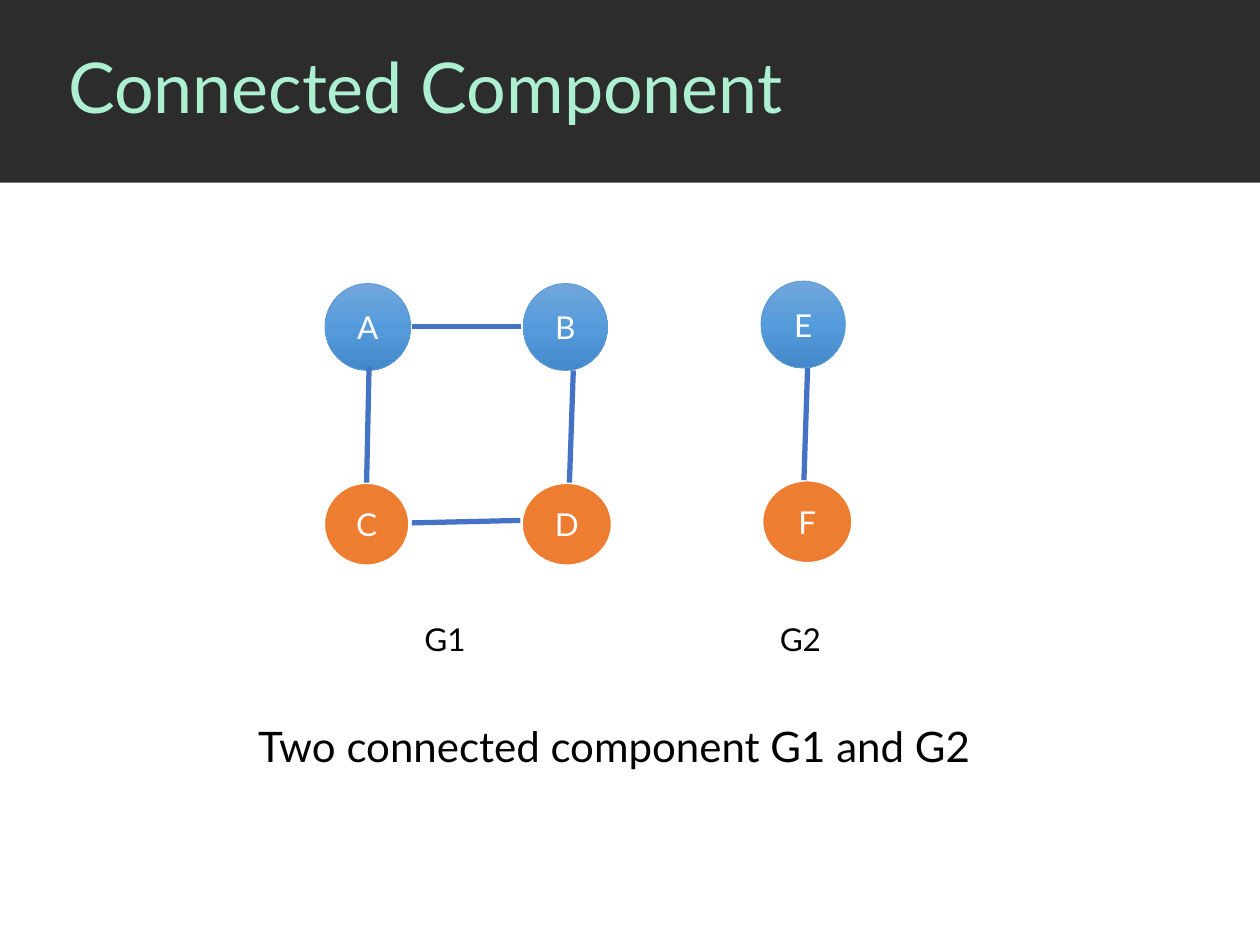
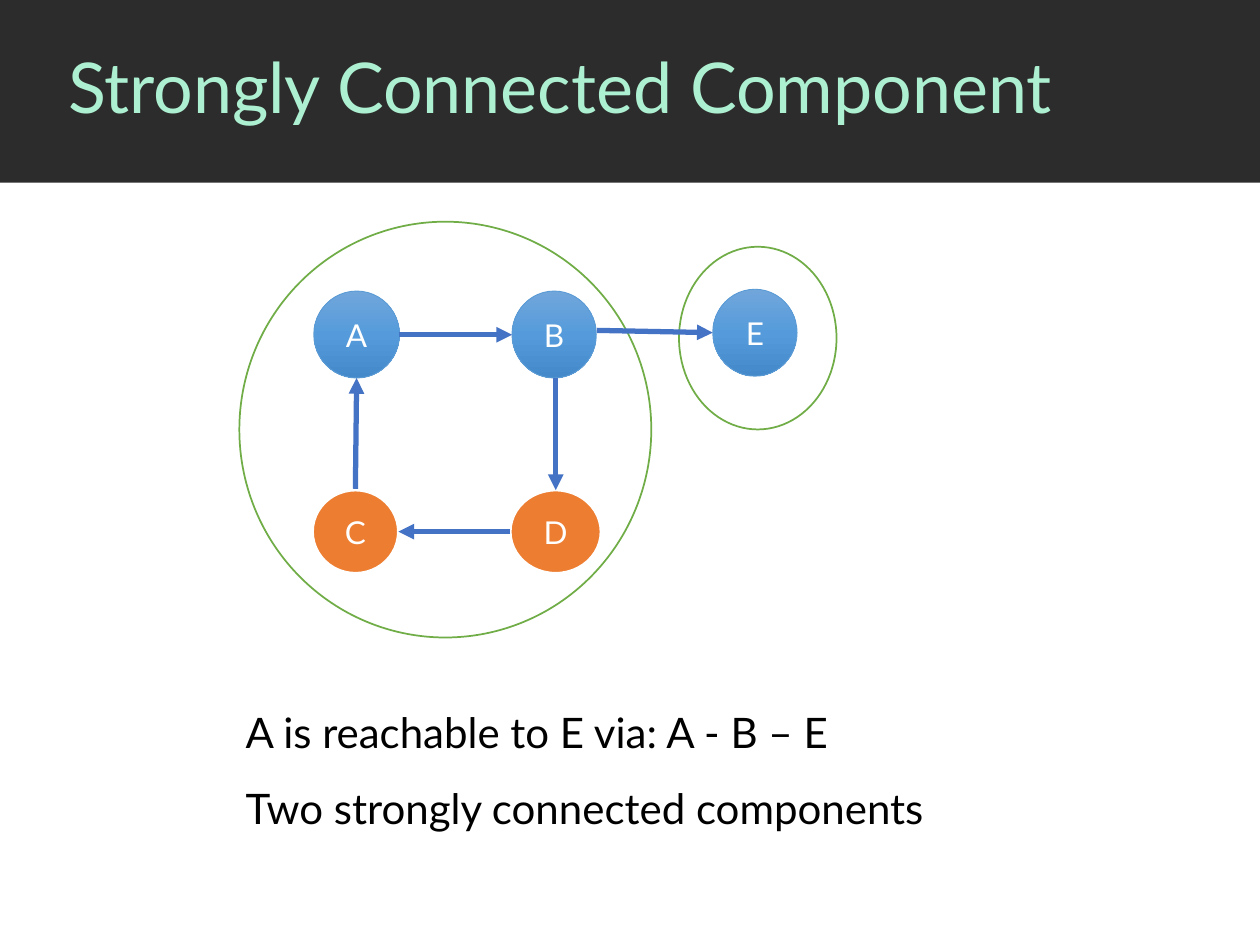
from copy import deepcopy
from dataclasses import dataclass

from lxml import etree
from pptx import Presentation
from pptx.dml.color import RGBColor
from pptx.enum import shapes, text
from pptx.oxml import ns
from pptx.util import Pt


@dataclass(frozen=True)
class Theme:
    font: str = "Lato"
    title_size: int = 40
    body_size: int = 24
    label_size: int = 18
    band: str = "2C2C2C"
    title: str = "ADF0D1"
    ink: str = "000000"
    paper: str = "FFFFFF"
    edge: str = "4472C4"
    enclosure: str = "70AD47"
    lower: str = "ED7D31"
    upper: tuple = ("71A6DB", "559BDB", "448ACA")
    upper_rim: str = "5B9BD5"


THEME = Theme()
WIDTH, HEIGHT = 720, 540
BAND_HEIGHT = 104.4
ROW_STEP = 113.8
UPPER_HEIGHT, LOWER_HEIGHT = 49.7, 47.5


def rgb(color):
    return RGBColor.from_string(color)


def points(*lengths):
    return [Pt(length) for length in lengths]


def format_text(frame, size, color, align=text.PP_ALIGN.LEFT, spacing=None):
    for paragraph in frame.paragraphs:
        paragraph.alignment = align
        if spacing:
            paragraph.line_spacing = spacing
        for run in paragraph.runs:
            run.font.name = THEME.font
            run.font.size = Pt(size)
            run.font.color.rgb = rgb(color)


def add_figure(slide, preset, box, fill, rim=None, rim_width=1):
    figure = slide.shapes.add_shape(preset, *points(*box))
    figure.shadow.inherit = False
    if isinstance(fill, tuple):
        figure.fill.gradient()
        figure.fill.gradient_angle = 270
        stops = figure.element.spPr.find(".//" + ns.qn("a:gsLst"))
        stops.insert(1, deepcopy(stops[0]))
        for index, stop in enumerate(figure.fill.gradient_stops):
            stop.position = index / 2
            stop.color.rgb = rgb(fill[index])
    else:
        figure.fill.solid()
        figure.fill.fore_color.rgb = rgb(fill)
    if rim:
        figure.line.color.rgb = rgb(rim)
        figure.line.width = Pt(rim_width)
    else:
        figure.line.fill.background()
    return figure


def add_node(slide, letter, left, top, width, is_upper):
    if is_upper:
        look = THEME.upper, THEME.upper_rim, 0.5
    else:
        look = THEME.lower, THEME.paper, 1.5
    height = UPPER_HEIGHT if is_upper else LOWER_HEIGHT
    node = add_figure(slide, shapes.MSO_SHAPE.OVAL, (left, top, width, height), *look)
    node.text_frame.text = letter
    node.text_frame.vertical_anchor = text.MSO_ANCHOR.MIDDLE
    format_text(node.text_frame, THEME.label_size, THEME.paper, text.PP_ALIGN.CENTER)


def add_edge(slide, start, end, directed):
    edge = slide.shapes.add_connector(
        shapes.MSO_CONNECTOR.STRAIGHT, *points(*start, *end)
    )
    edge.line.color.rgb = rgb(THEME.edge)
    edge.line.width = Pt(3)
    if directed:
        line = edge.line._get_or_add_ln()
        etree.SubElement(line, ns.qn("a:tailEnd"), type="triangle")
    etree.SubElement(edge.element.spPr, ns.qn("a:effectLst"))


def add_graph(slide, origin, nodes, edges, directed=False):
    left, top = origin
    for letter, x, y, width in nodes:
        add_node(slide, letter, left + x, top + y, width, y < ROW_STEP)
    for x1, y1, x2, y2 in edges:
        add_edge(slide, (left + x1, top + y1), (left + x2, top + y2), directed)


def add_caption(slide, box, words, size, **paragraph_format):
    caption = slide.shapes.add_textbox(*points(*box))
    frame = caption.text_frame
    frame.word_wrap = True
    frame.auto_size = text.MSO_AUTO_SIZE.SHAPE_TO_FIT_TEXT
    frame.text = words
    format_text(frame, size, THEME.ink, **paragraph_format)


def add_titled_slide(deck, words):
    slide = deck.slides.add_slide(deck.slide_layouts[5])
    title = slide.shapes.title
    title.left, title.top, title.width, title.height = points(
        31.7, 0, WIDTH - 31.7, BAND_HEIGHT - 0.7
    )
    frame = title.text_frame
    frame.text = words
    frame.auto_size = text.MSO_AUTO_SIZE.NONE
    frame.vertical_anchor = text.MSO_ANCHOR.MIDDLE
    format_text(frame, THEME.title_size, THEME.title, spacing=0.9)
    return slide


def move_band_to_layout(slide):
    layout = slide.slide_layout
    for placeholder in list(layout.placeholders):
        if placeholder.placeholder_format.type != shapes.PP_PLACEHOLDER.TITLE:
            layout.shapes.element.remove(placeholder.element)
    band = add_figure(
        slide, shapes.MSO_SHAPE.RECTANGLE, (0, 0, WIDTH, BAND_HEIGHT), THEME.band
    )
    layout.shapes.element.insert(2, band.element)


SQUARE = [
    ("D", 113, ROW_STEP, 51.8),
    ("B", 114, 0, 48.2),
    ("C", 0, ROW_STEP, 49),
    ("A", 0.7, 0, 49),
]


def build_connected(deck):
    slide = add_titled_slide(deck, "Connected Component")
    move_band_to_layout(slide)
    add_caption(
        slide, (140.4, 408.2, 438.5, 36), "Two connected component G1 and G2",
        THEME.body_size,
    )
    add_graph(slide, (185, 162), SQUARE, [
        (25.9, 47.5, 24.5, ROW_STEP),
        (113, 24.5, 50.4, 24.5),
        (142.6, UPPER_HEIGHT, 140.4, ROW_STEP),
        (112.3, 135.4, 50.4, 136.8),
    ])
    pair = [("F", 0.5, ROW_STEP, 51.8), ("E", 0, 0, 48.2)]
    add_graph(slide, (434.9, 160.6), pair, [(26.6, UPPER_HEIGHT, 24.5, ROW_STEP)])
    for name, left in (("G1", 235.4), ("G2", 438.5)):
        add_caption(slide, (left, 350.6, 41.8, 28.8), name, THEME.label_size)


def build_strongly_connected(deck):
    slide = add_titled_slide(deck, "Strongly Connected Component")
    for component in ((136.8, 126.7, 235.4, 237.6), (388, 141, 90, 104.4)):
        add_figure(
            slide, shapes.MSO_SHAPE.OVAL, component, THEME.paper, THEME.enclosure
        )
    add_graph(slide, (178.6, 166.3), SQUARE + [("E", 228.7, -1, 48.2)], [
        (49.7, 25, 114, 25),
        (24.5, 113, 25.2, UPPER_HEIGHT),
        (113, 137.5, 49, 137.5),
        (139, UPPER_HEIGHT, 139, ROW_STEP),
        (162.5, 22.5, 228.7, 23.8),
    ], directed=True)
    add_caption(
        slide, (133.2, 385.9, 411.8, 88.6),
        "A is reachable to E via: A - B – E\nTwo strongly connected components",
        THEME.body_size, align=text.PP_ALIGN.JUSTIFY, spacing=1.5,
    )


def main():
    deck = Presentation()
    deck.slide_width, deck.slide_height = points(WIDTH, HEIGHT)
    build_connected(deck)
    build_strongly_connected(deck)
    deck.save("out.pptx")


if __name__ == "__main__":
    main()
